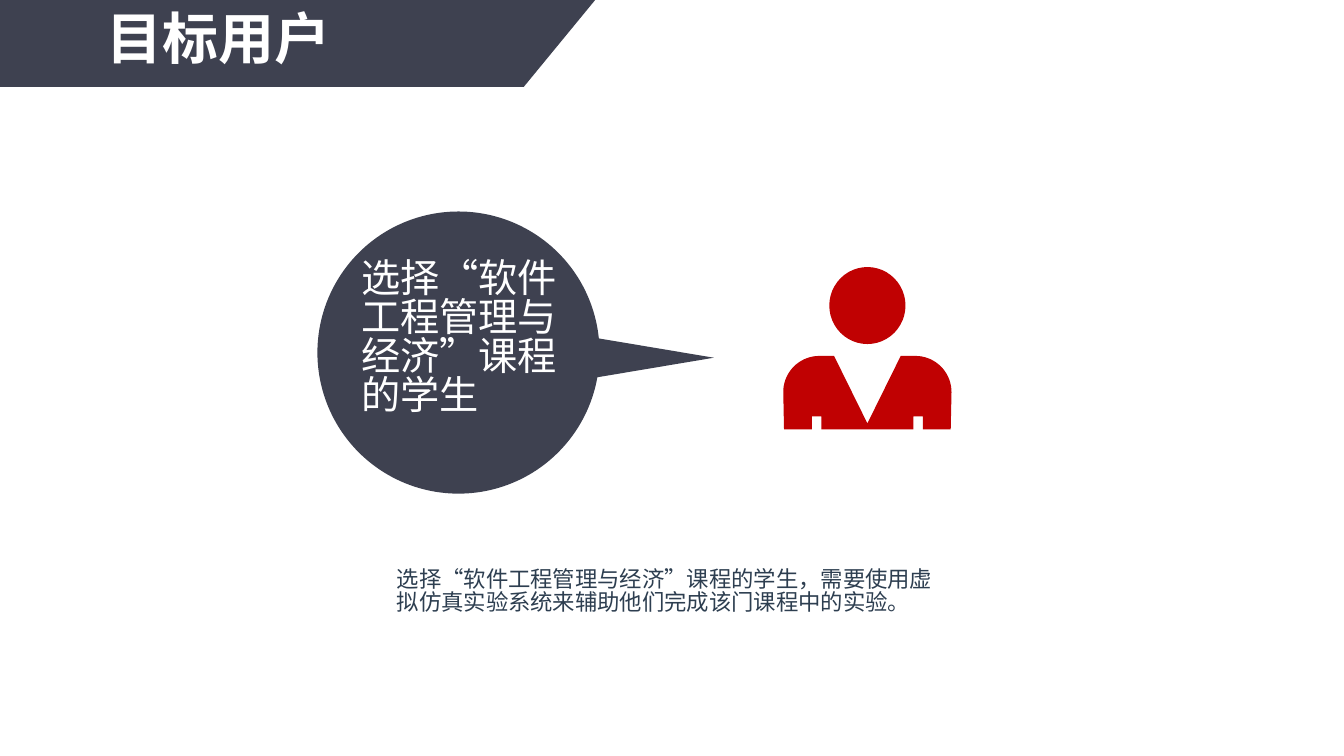
import math

from pptx import Presentation
from pptx import util as u
from pptx.dml.color import RGBColor
from pptx.enum import shapes
from pptx.oxml.ns import qn
from lxml import etree

COLORS = {"slate": "3E4150", "red": "C00102", "white": "FFFFFF", "ink": "2D3E50"}
FONT = "Noto Sans CJK SC"
LINE_SPACING = 0.83
INSET = 0.13


def lengths(values):
    return [u.Cm(v) for v in values]


def paint(sp, color):
    sp.shadow.inherit = False
    sp.fill.solid()
    sp.fill.fore_color.rgb = RGBColor.from_string(COLORS[color])
    sp.line.fill.background()
    return sp


def add_preset(container, kind, box, color):
    return paint(container.add_shape(kind, *lengths(box)), color)


def add_polygon(container, points, color):
    points = [tuple(lengths(point)) for point in points]
    builder = container.build_freeform(*points[0], scale=1.0)
    builder.add_line_segments(points[1:], close=True)
    return paint(builder.convert_to_shape(), color)


def add_text(container, box, content, size, color, bold=False, wrap=False):
    """Add a text box; the top inset makes up for the tightened first line."""
    tf = container.add_textbox(*lengths(box)).text_frame
    tf.word_wrap = wrap
    tf.margin_top = u.Cm(INSET) + u.Pt(size * 0.11)
    tf.margin_bottom = 0
    tf.text = content
    for p in tf.paragraphs:
        p.line_spacing = LINE_SPACING
        for r in p.runs:
            r.font.size = u.Pt(size)
            r.font.bold = bold
            r.font.name = FONT
            r.font.color.rgb = RGBColor.from_string(COLORS[color])
            etree.SubElement(r.font._element, qn("a:ea")).set("typeface", FONT)


def suit_outline(center, top, bottom):
    """Return a jacket symmetric about center, with round shoulders."""
    radius, shoulder = 0.91, 1.21
    arc = [(shoulder + radius * math.sin(a), top + radius * (1 - math.cos(a)))
           for a in (math.radians(d) for d in range(0, 91, 5))]
    half = [(0, bottom - 0.15), (0.84, top), *arc, (2.1, bottom),
            (1.4, bottom), (1.4, bottom - 0.33),
            (1.16, bottom - 0.33), (1.16, bottom)]
    return ([(center + x, y) for x, y in half]
            + [(center - x, y) for x, y in half[:0:-1]])


def add_student(container):
    add_preset(container, shapes.MSO_SHAPE.OVAL, (20.9, 6.73, 1.92, 1.94), "red")
    add_polygon(container, suit_outline(21.86, 8.97, 10.82), "red")


def add_bubble(container, content):
    add_preset(container, shapes.MSO_SHAPE.OVAL, (8, 5.33, 7.11, 7.11), "slate")
    pointer = add_preset(container, shapes.MSO_SHAPE.ISOSCELES_TRIANGLE,
                         (15.82, 7.39, 1.09, 3.25), "slate")
    pointer.rotation = 90
    add_text(container, (8.86, 6.35, 5.61, 5), content, 28, "white", wrap=True)


def main():
    prs = Presentation()
    prs.slide_width, prs.slide_height = lengths((33.87, 19.05))
    s = prs.slides.add_slide(prs.slide_layouts[6])

    add_polygon(s.shapes, [(0, 0), (15, 0), (13.2, 2.19), (0, 2.19)], "slate")
    add_text(s.shapes, (2.44, 0.1, 6.15, 1.93), "目标用户", 40, "white", bold=True)
    add_student(s.shapes.add_group_shape().shapes)
    add_bubble(s.shapes.add_group_shape().shapes,
               "选择“软件工程管理与经济”课程的学生")
    add_text(s.shapes, (9.75, 14.17, 14.05, 1.6),
             "选择“软件工程管理与经济”课程的学生，需要使用虚\n"
             "拟仿真实验系统来辅助他们完成该门课程中的实验。", 16, "ink")

    prs.save("out.pptx")


if __name__ == "__main__":
    main()
